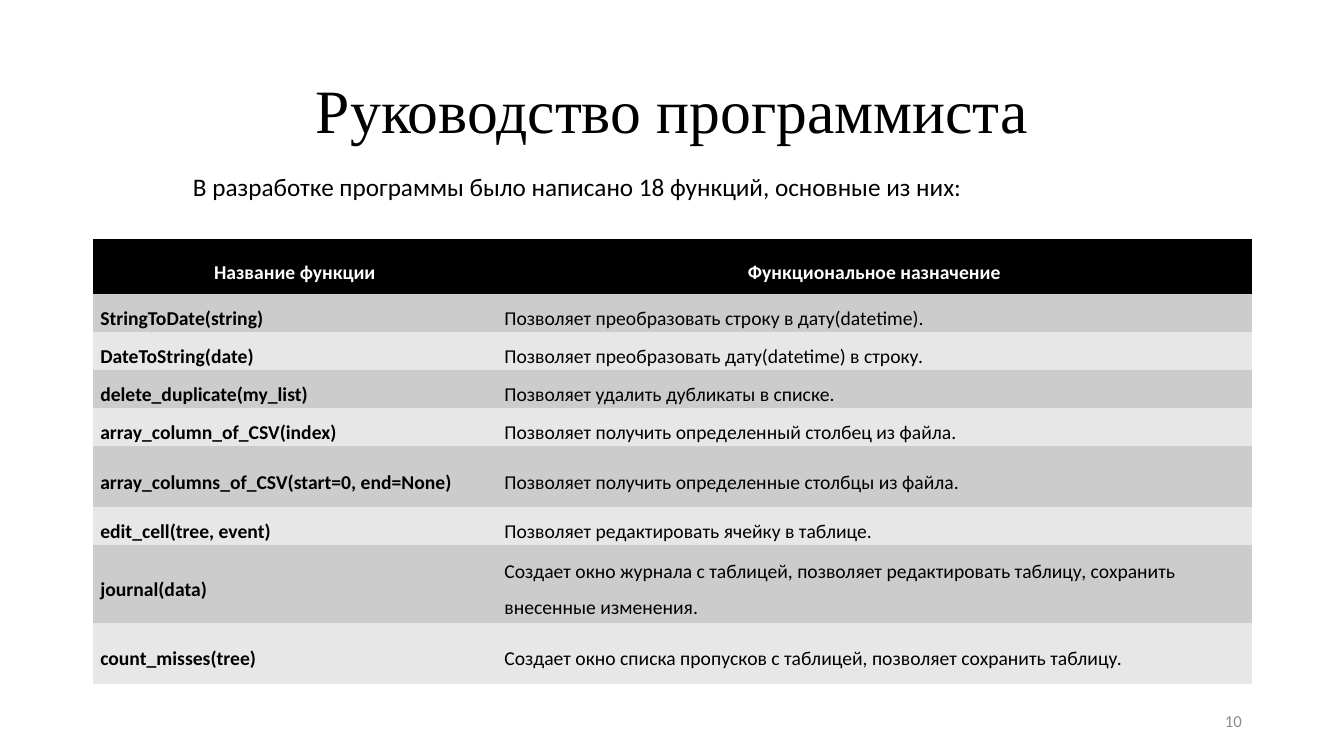
import pptx
import pptx.dml.color
import pptx.enum.text
import pptx.util

Pt = pptx.util.Pt
RGB = pptx.dml.color.RGBColor
ALIGN = pptx.enum.text.PP_ALIGN
MIDDLE = pptx.enum.text.MSO_ANCHOR.MIDDLE

BLACK = RGB(0, 0, 0)
WHITE = RGB(255, 255, 255)
GREY = RGB(0x8C, 0x8C, 0x8C)
BANDS = (RGB(0xCC, 0xCC, 0xCC), RGB(0xE7, 0xE7, 0xE7))
PLAIN = "{2D5ABB26-0587-4C30-8999-92F81FD0307C}"

LEFT = 66.24
COLS = (288.7, 539.3)
HEAD = ("Название функции", "Функциональное назначение", 39.4)
ROWS = (
    ("StringToDate(string)",
     "Позволяет преобразовать строку в дату(datetime).", 27.2),
    ("DateToString(date)",
     "Позволяет преобразовать дату(datetime) в строку.", 27.2),
    ("delete_duplicate(my_list)",
     "Позволяет удалить дубликаты в списке.", 27.2),
    ("array_column_of_CSV(index)",
     "Позволяет получить определенный столбец из файла.", 27.2),
    ("array_columns_of_CSV(start=0, end=None)",
     "Позволяет получить определенные столбцы из файла.", 43.5),
    ("edit_cell(tree, event)",
     "Позволяет редактировать ячейку в таблице.", 27.2),
    ("journal(data)",
     "Создает окно журнала с таблицей, позволяет редактировать таблицу, "
     "сохранить внесенные изменения.", 55.4),
    ("count_misses(tree)",
     "Создает окно списка пропусков с таблицей, позволяет сохранить таблицу.",
     43.5),
)


def style(frame, size, color, align, gap=1.0, font="Calibri", bold=False):
    """Format the only paragraph of a text frame."""
    para = frame.paragraphs[0]
    para.alignment = align
    para.line_spacing = gap
    run = para.runs[0].font
    run.name, run.size, run.bold = font, Pt(size), bold
    run.color.rgb = color


def add_text(slide, text, box, size, color, align, **look):
    """Add a wrapped text box and return its text frame."""
    frame = slide.shapes.add_textbox(*map(Pt, box)).text_frame
    frame.word_wrap = True
    frame.vertical_anchor = MIDDLE
    frame.text = text
    style(frame, size, color, align, **look)
    return frame


def fill_cell(cell, text, fill, color, align, bold):
    """Write and format one table cell."""
    cell.fill.solid()
    cell.fill.fore_color.rgb = fill
    cell.vertical_anchor = MIDDLE
    cell.margin_left = cell.margin_right = Pt(5.4)
    cell.margin_top = cell.margin_bottom = Pt(0)
    cell.text_frame.text = text
    style(cell.text_frame, 14, color, align, gap=1.5, bold=bold)


def add_grid(slide):
    """Add the table of functions with banded rows."""
    lines = (HEAD, *ROWS)
    high = sum(line[2] for line in lines)
    frame = slide.shapes.add_table(
        len(lines), len(COLS), Pt(LEFT), Pt(170.6), Pt(sum(COLS)), Pt(high))
    for node in frame.element.iter("{*}tableStyleId"):
        node.text = PLAIN
    grid = frame.table
    for col, width in zip(grid.columns, COLS):
        col.width = Pt(width)
    for i, (name, role, height) in enumerate(lines):
        grid.rows[i].height = Pt(height)
        for j, text in enumerate((name, role)):
            if i == 0:
                look = (BLACK, WHITE, ALIGN.CENTER, True)
            else:
                look = (BANDS[(i - 1) % 2], BLACK, ALIGN.LEFT, j == 0)
            fill_cell(grid.cell(i, j), text, *look)


def main():
    """Build the slide and save it."""
    deck = pptx.Presentation()
    deck.slide_width, deck.slide_height = Pt(960), Pt(540)
    slide = deck.slides.add_slide(deck.slide_layouts[6])
    add_text(slide, "Руководство программиста", (LEFT, 28.8, 828, 104.4),
             44, BLACK, ALIGN.CENTER, gap=0.9, font="Times New Roman")
    add_grid(slide)
    add_text(slide, "10", (678.24, 500.4, 216, 28.8), 12, GREY, ALIGN.RIGHT)
    intro = add_text(
        slide,
        " В разработке программы было написано 18 функций, основные из них:",
        (126.7, 118.8, 706.3, 29.1), 18, BLACK, ALIGN.LEFT)
    intro.vertical_anchor = pptx.enum.text.MSO_ANCHOR.TOP
    intro.auto_size = pptx.enum.text.MSO_AUTO_SIZE.SHAPE_TO_FIT_TEXT
    deck.save("out.pptx")


if __name__ == "__main__":
    main()
